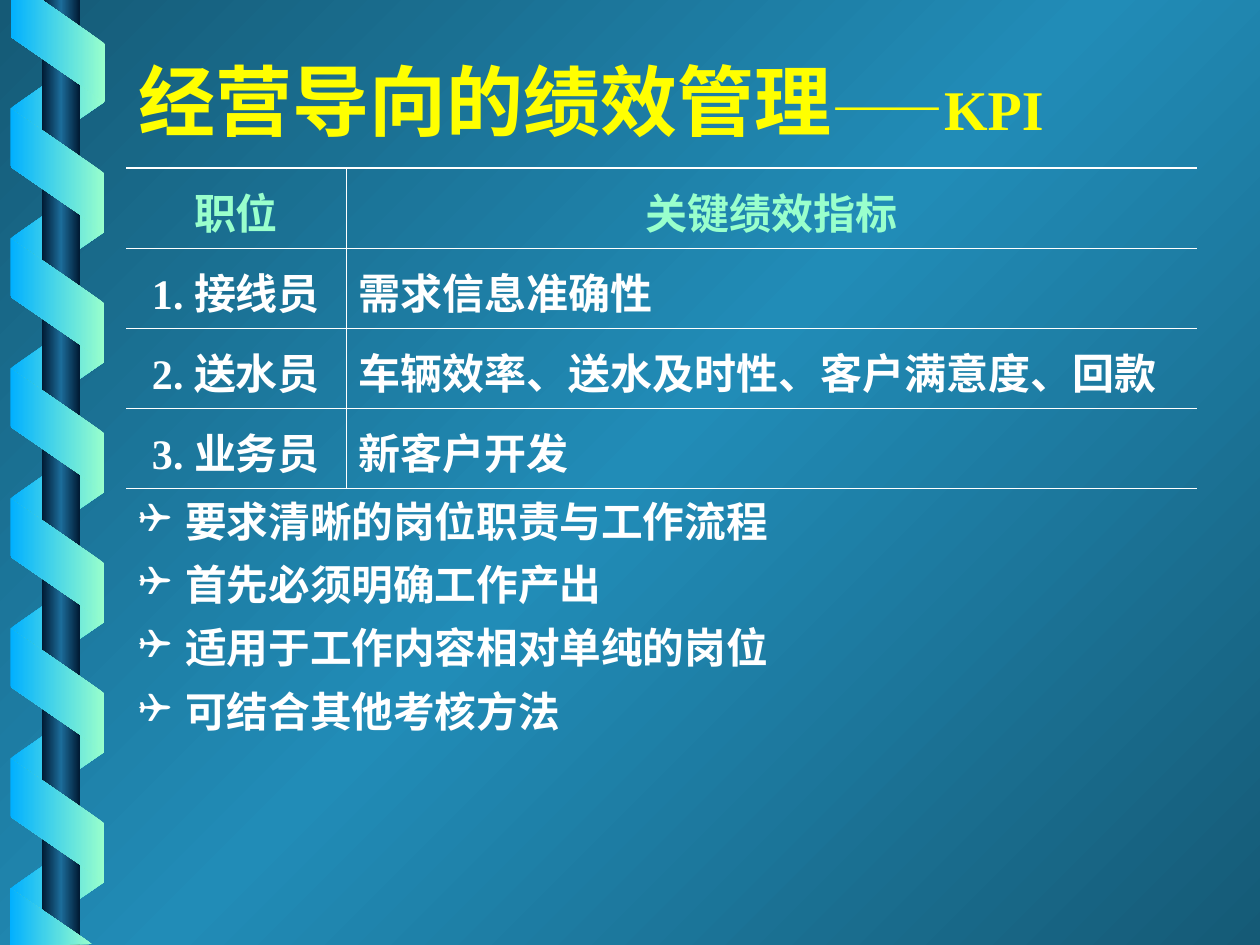
"""Build the KPI slide: spiral binding, title, indicator table and bullet list."""
import lxml.etree
import pptx
import pptx.dml.color
import pptx.enum.shapes
import pptx.enum.text
import pptx.oxml.ns
import pptx.util

YELLOW = pptx.dml.color.RGBColor(0xFF, 0xFF, 0x00)
WHITE = pptx.dml.color.RGBColor(0xFF, 0xFF, 0xFF)
MINT = pptx.dml.color.RGBColor(0x99, 0xFF, 0xCC)
SKY = pptx.dml.color.RGBColor(0x01, 0xB0, 0xFF)
NAVY = pptx.dml.color.RGBColor(0x00, 0x19, 0x32)
STEEL = pptx.dml.color.RGBColor(0x1C, 0x6D, 0x9A)
DEEP_TEAL = pptx.dml.color.RGBColor(0x15, 0x5A, 0x76)
BRIGHT_TEAL = pptx.dml.color.RGBColor(0x21, 0x8C, 0xB7)

FONT = "Times New Roman"
BULLET_FONT = "Wingdings"
NO_GRID_STYLE = "{2D5ABB26-0587-4C30-8999-92F81FD0307C}"
PITCH = 130
THIN, THICK = 0.45, 1.08

HEADER = ("职位", "关键绩效指标")
POSITIONS = (
    ("1. 接线员", "需求信息准确性"),
    ("2. 送水员", "车辆效率、送水及时性、客户满意度、回款"),
    ("3. 业务员", "新客户开发"),
)
REQUIREMENTS = (
    "要求清晰的岗位职责与工作流程",
    "首先必须明确工作产出",
    "适用于工作内容相对单纯的岗位",
    "可结合其他考核方法",
)


def px(length):
    return pptx.util.Emu(round(length * 914400 / 126))


def child(parent, tag, **attributes):
    return lxml.etree.SubElement(parent, pptx.oxml.ns.qn(tag), attributes)


class SlideBuilder:
    def __init__(self, slide):
        self.slide = slide
        self.shapes = slide.shapes

    def gradient(self, fill, properties, colors, angle):
        fill.gradient()
        fill.gradient_angle = angle
        gradient = properties.find(".//" + pptx.oxml.ns.qn("a:gradFill"))
        gradient.set("rotWithShape", "0")
        stops = gradient.find(pptx.oxml.ns.qn("a:gsLst"))
        for stop in list(stops):
            stops.remove(stop)
        for i, color in enumerate(colors):
            stop = child(stops, "a:gs", pos=str(100000 * i // (len(colors) - 1)))
            child(stop, "a:srgbClr", val=str(color))

    def background(self, colors):
        fill = self.slide.background.fill
        self.gradient(fill, self.slide.element, colors, 135)

    def paint(self, shape, colors):
        shape.shadow.inherit = False
        shape.line.fill.background()
        self.gradient(shape.fill, shape.element.spPr, colors, 180)

    def rail(self, left, top, width, height, colors):
        kind = pptx.enum.shapes.MSO_SHAPE.RECTANGLE
        self.paint(self.shapes.add_shape(kind, px(left), px(top), px(width), px(height)), colors)

    def ribbon(self, top, colors, rotation, flipped=False):
        kind = pptx.enum.shapes.MSO_SHAPE.PARALLELOGRAM
        band = self.shapes.add_shape(kind, px(-4), px(top), px(123), px(94))
        band.adjustments[0] = 0.69
        band.rotation = rotation
        if flipped:
            band.element.spPr.xfrm.set("flipH", "1")
        self.paint(band, colors)

    def ribbon_end(self, points, colors):
        outline = [(px(x), px(y)) for x, y in points]
        builder = self.shapes.build_freeform(*outline[0])
        builder.add_line_segments(outline[1:], close=True)
        self.paint(builder.convert_to_shape(), colors)

    def run(self, paragraph, text, size, color):
        run = paragraph.add_run()
        run.text = text
        run.font.name = FONT
        run.font.size = pptx.util.Pt(size)
        run.font.bold = True
        run.font.color.rgb = color

    def text_frame(self, left, top, width, height):
        frame = self.shapes.add_textbox(px(left), px(top), px(width), px(height)).text_frame
        frame.word_wrap = True
        return frame

    def title(self, left, top, width, height, parts):
        frame = self.text_frame(left, top, width, height)
        frame.vertical_anchor = pptx.enum.text.MSO_ANCHOR.BOTTOM
        for text, size in parts:
            self.run(frame.paragraphs[0], text, size, YELLOW)

    def bullets(self, left, top, width, height, items):
        frame = self.text_frame(left, top, width, height)
        for i, item in enumerate(items):
            paragraph = frame.add_paragraph() if i else frame.paragraphs[0]
            properties = paragraph._p.get_or_add_pPr()
            properties.set("marL", str(px(47)))
            properties.set("indent", str(px(-47)))
            child(child(properties, "a:buClr"), "a:srgbClr", val=str(WHITE))
            child(properties, "a:buFont", typeface=BULLET_FONT, charset="2")
            child(properties, "a:buChar", char="❑")
            paragraph.line_spacing = 0.9
            if i:
                paragraph.space_before = pptx.util.Pt(10.5)
            self.run(paragraph, item, 23.8, WHITE)

    def borders(self, cell, **widths):
        properties = cell._tc.get_or_add_tcPr()
        for i, side in enumerate(("lnL", "lnR", "lnT", "lnB")):
            width = widths.get(side, 0)
            line = lxml.etree.Element(pptx.oxml.ns.qn("a:" + side), w=str(pptx.util.Pt(width)))
            if width:
                child(child(line, "a:solidFill"), "a:srgbClr", val=str(WHITE))
            else:
                child(line, "a:noFill")
            properties.insert(i, line)

    def table(self, left, top, column_widths, row_height, rows):
        frame = self.shapes.add_table(
            len(rows), len(column_widths), px(left), px(top),
            px(sum(column_widths)), px(row_height * len(rows)))
        table = frame.table
        table.first_row = table.horz_banding = False
        table._tbl.tblPr.find(pptx.oxml.ns.qn("a:tableStyleId")).text = NO_GRID_STYLE
        for column, width in zip(table.columns, column_widths):
            column.width = px(width)
        for r, texts in enumerate(rows):
            table.rows[r].height = px(row_height)
            for c, text in enumerate(texts):
                cell = table.cell(r, c)
                cell.fill.background()
                cell.margin_top = px(7)
                paragraph = cell.text_frame.paragraphs[0]
                paragraph.line_spacing = 1.1
                if r == 0 or c == 0:
                    paragraph.alignment = pptx.enum.text.PP_ALIGN.CENTER
                self.run(paragraph, text, 24, WHITE if r else MINT)
                self.borders(
                    cell,
                    lnT=THIN if r else THICK,
                    lnB=THIN,
                    **{"lnL" if c else "lnR": THIN})


def main():
    presentation = pptx.Presentation()
    presentation.slide_width, presentation.slide_height = px(1260), px(945)
    builder = SlideBuilder(presentation.slides.add_slide(presentation.slide_layouts[6]))
    builder.background((DEEP_TEAL, BRIGHT_TEAL, DEEP_TEAL))

    for i in range(7):
        builder.ribbon(58 + PITCH * i, (SKY, MINT), 90, flipped=True)
    builder.rail(42, 0, 38, 945, (NAVY, STEEL, NAVY))
    for i in range(6):
        builder.ribbon(123 + PITCH * i, (MINT, SKY), 270)
    builder.ribbon_end(((11, 0), (11, 37), (105, 102), (105, 44), (42, 0)), (MINT, SKY))
    builder.ribbon_end(((92, 944), (10, 888), (10, 945)), (MINT, SKY))

    builder.title(126, 42, 1097, 110, (("经营导向的绩效管理", 44), ("——KPI", 32)))
    builder.bullets(126, 495, 1071, 271, REQUIREMENTS)
    builder.table(126, 168, (220, 851), 80, (HEADER, *POSITIONS))
    presentation.save("out.pptx")


if __name__ == "__main__":
    main()
